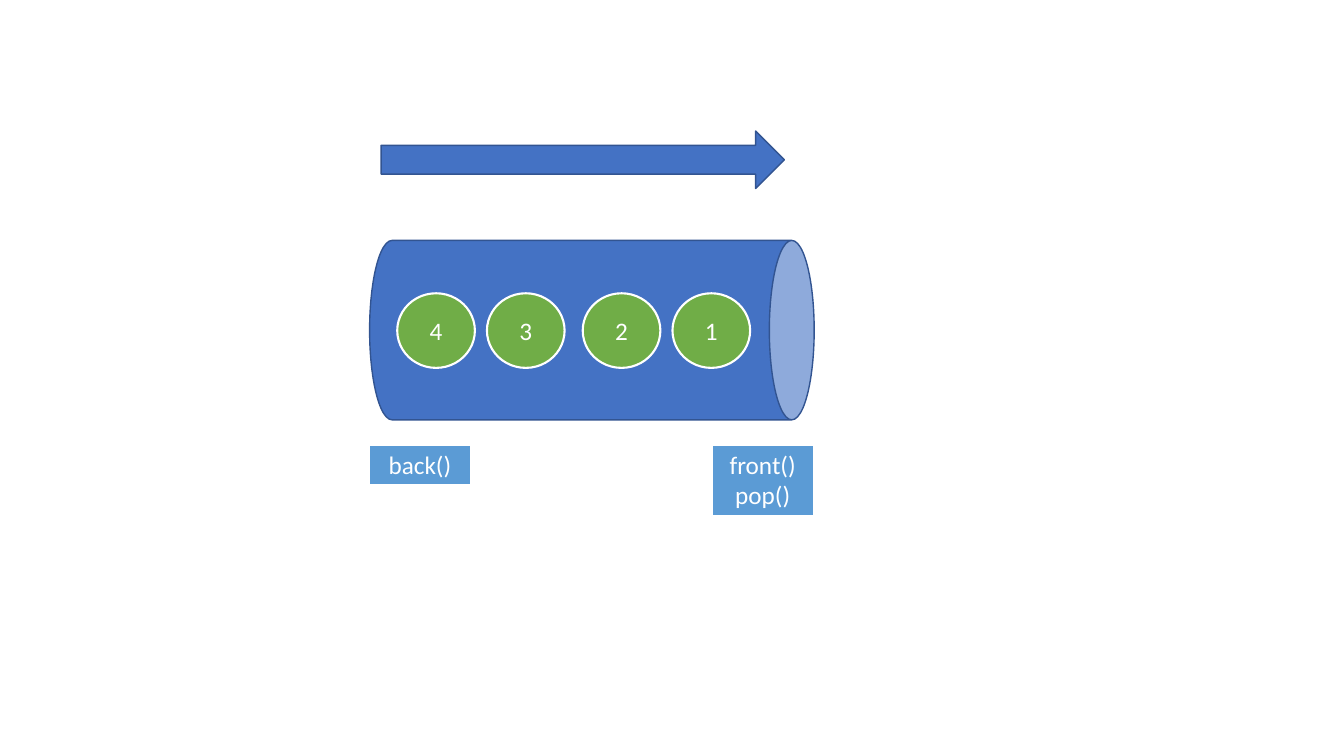
from pptx import Presentation
from pptx.dml.color import RGBColor
from pptx.enum.shapes import MSO_SHAPE
from pptx.enum.text import MSO_ANCHOR, MSO_AUTO_SIZE, PP_ALIGN
from pptx.util import Inches, Pt

CAN, ARROW = MSO_SHAPE.CAN, MSO_SHAPE.RIGHT_ARROW
OVAL, RECTANGLE = MSO_SHAPE.OVAL, MSO_SHAPE.RECTANGLE
TOP, MIDDLE = MSO_ANCHOR.TOP, MSO_ANCHOR.MIDDLE
CENTER = PP_ALIGN.CENTER
FIT_SHAPE = MSO_AUTO_SIZE.SHAPE_TO_FIT_TEXT

# Content: queue items with their left edge, end labels with left edge and height
QUEUE_ITEMS = [("1", 6.67), ("2", 5.78), ("3", 4.83), ("4", 3.94)]
END_LABELS = [("front()\npop()", 7.06, 0.71), ("back()", 3.66, 0.4)]

THEME = {
    "font": "Calibri",
    "text_size": 18,
    "text": "FFFFFF",
    "queue": ("4472C4", "325491", 1),  # fill, line, line width
    "item": ("70AD47", "FFFFFF", 1.5),
    "label": ("5B9BD5", "FFFFFF", 1.5),
}

QUEUE_BOX = (4.98, 1.07, 1.78, 4.41)  # upright, before the quarter turn
DIRECTION_BOX = (3.78, 1.3, 4, 0.57)
ITEM_TOP, ITEM_WIDTH, ITEM_HEIGHT = 2.91, 0.77, 0.74
LABEL_TOP, LABEL_WIDTH = 4.41, 1.01


def add_part(slide, preset, box, style):
    fill, line, width = THEME[style]
    part = slide.shapes.add_shape(preset, *(Inches(length) for length in box))
    part.shadow.inherit = False
    part.fill.solid()
    part.fill.fore_color.rgb = RGBColor.from_string(fill)
    part.line.color.rgb = RGBColor.from_string(line)
    part.line.width = Pt(width)
    return part


def write(part, text, anchor):
    frame = part.text_frame
    frame.text = text
    frame.word_wrap = True
    frame.vertical_anchor = anchor
    for paragraph in frame.paragraphs:
        paragraph.alignment = CENTER
        for run in paragraph.runs:
            run.font.name = THEME["font"]
            run.font.size = Pt(THEME["text_size"])
            run.font.color.rgb = RGBColor.from_string(THEME["text"])


def main():
    deck = Presentation()
    deck.slide_width, deck.slide_height = Inches(13.33), Inches(7.5)
    slide = deck.slides.add_slide(deck.slide_layouts[6])

    queue = add_part(slide, CAN, QUEUE_BOX, "queue")
    queue.rotation = 90
    add_part(slide, ARROW, DIRECTION_BOX, "queue")

    for number, left in QUEUE_ITEMS:
        item = add_part(slide, OVAL, (left, ITEM_TOP, ITEM_WIDTH, ITEM_HEIGHT), "item")
        write(item, number, MIDDLE)

    for calls, left, height in END_LABELS:
        label = add_part(slide, RECTANGLE, (left, LABEL_TOP, LABEL_WIDTH, height), "label")
        write(label, calls, TOP)
        label.text_frame.auto_size = FIT_SHAPE

    deck.save("out.pptx")


if __name__ == "__main__":
    main()
